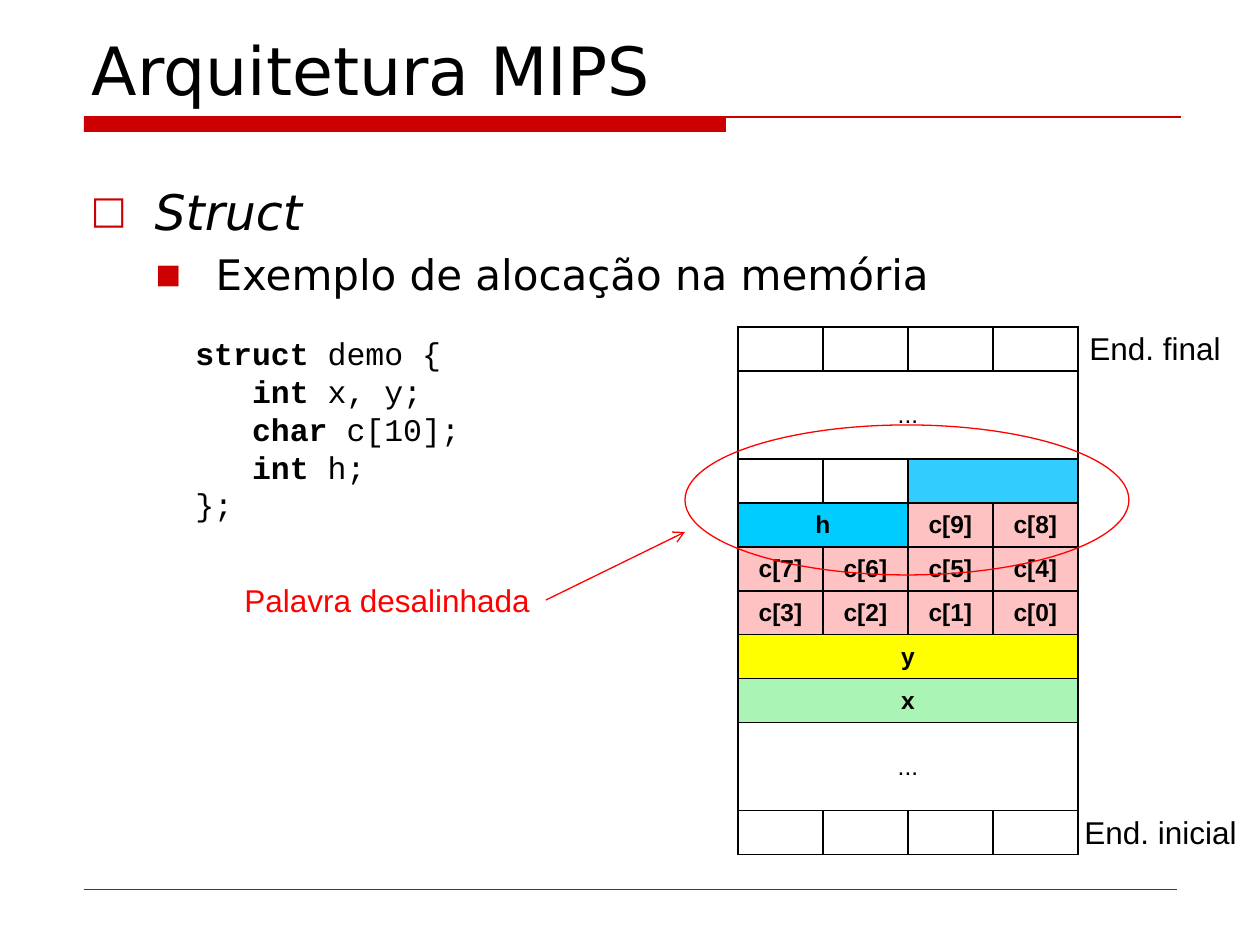
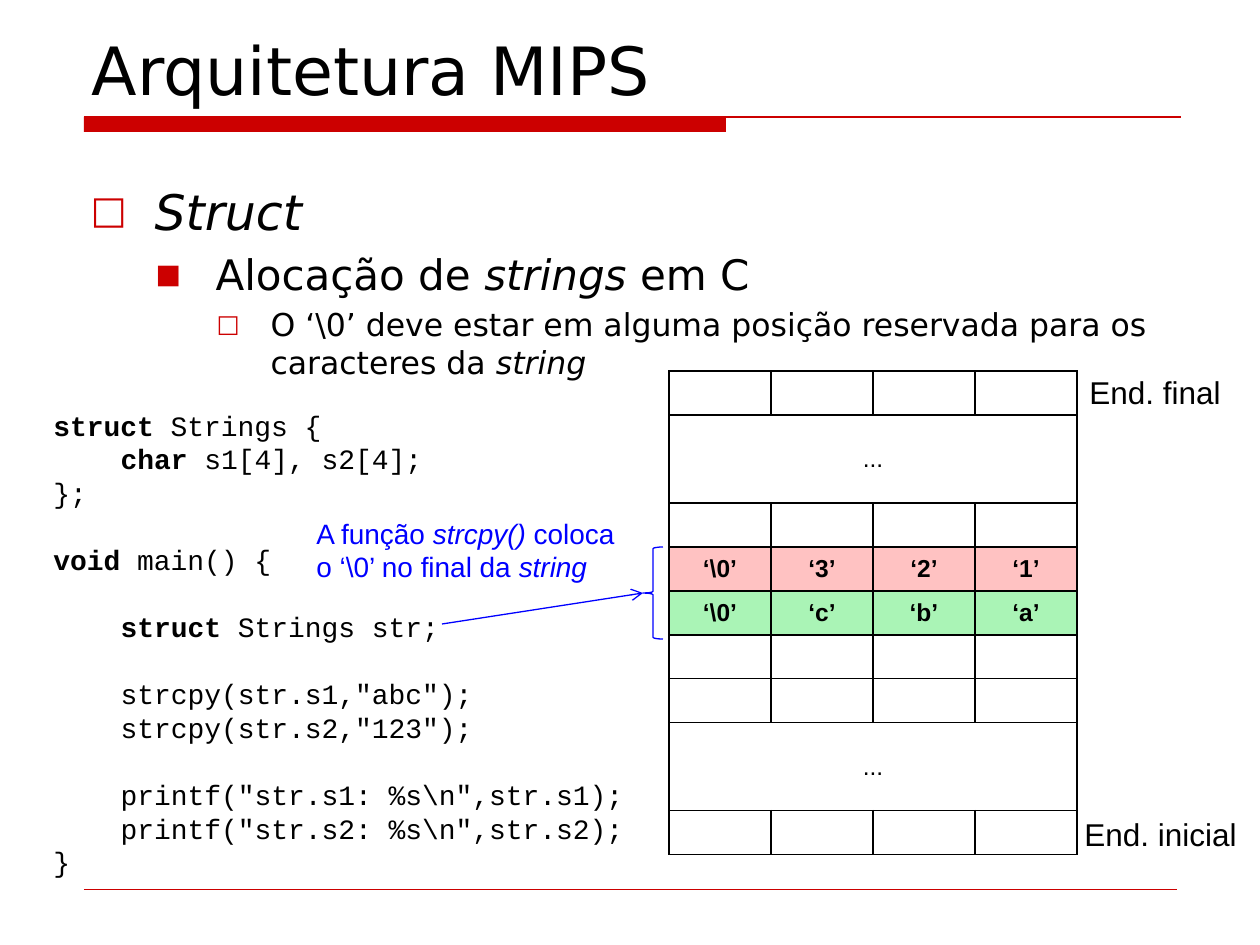
from lxml import etree
from pptx import Presentation
from pptx import util as u
from pptx.dml.color import RGBColor
from pptx.enum import shapes, text
from pptx.oxml.ns import qn

PX = 914400 / 126
TITLE_FONT, LABEL_FONT, CODE_FONT = "DejaVu Sans", "Arial", "Courier New"
BLACK, ACCENT, RED, BLUE = "000000", "CC0000", "FF0000", "0000FF"
WHITE, PINK, GREEN, YELLOW = "FFFFFF", "FFC2C2", "AAF4B6", "FFFF00"
H_LOW, H_HIGH = "00CCFF", "33CCFF"

# Per list level: size, left indent and hanging width in px, bullet, bullet size in %
LEVELS = [(28, 64, 64, "□", 78), (24, 125, 60, "■", 64), (18, 180, 54, "□", 78)]
ROW_HEIGHT = 44
EMPTY_ROW = [("", 1, None)] * 4
GAP_ROW = [("...", 4, None)]

STRUCT_CODE = """*struct* demo {
   *int* x, y;
   *char* c[10];
   *int* h;
};"""
STRINGS_CODE = r"""*struct* Strings {
    *char* s1[4], s2[4];
};

*void* main() {

    *struct* Strings str;

    strcpy(str.s1,"abc");
    strcpy(str.s2,"123");

    printf("str.s1: %s\n",str.s1);
    printf("str.s2: %s\n",str.s2);
}"""


def px(length):
    return u.Emu(round(length * PX))


def box(*lengths):
    return [px(length) for length in lengths]


def color(value):
    return RGBColor.from_string(value)


def sub(parent, tag, **attributes):
    return etree.SubElement(parent, qn(tag), attributes)


def add_runs(paragraph, marked, size, font, ink=BLACK, emphasis="italic"):
    """Write text whose parts between asterisks are emphasised."""
    for index, part in enumerate(marked.split("*")):
        if part:
            run = paragraph.add_run()
            run.text = part
            run.font.size, run.font.name = u.Pt(size), font
            run.font.color.rgb = color(ink)
            setattr(run.font, emphasis, index % 2 == 1)


def add_line(slide, start, end, ink, width, arrow=False):
    line = slide.shapes.add_connector(shapes.MSO_CONNECTOR.STRAIGHT, *box(*start, *end))
    line.line.color.rgb = color(ink)
    line.line.width = u.Pt(width)
    properties = line._element.spPr
    if arrow:
        sub(properties.find(qn("a:ln")), "a:tailEnd", type="arrow")
    sub(properties, "a:effectLst")
    return line


def add_shape(slide, kind, frame, fill=None, ink=None):
    shape = slide.shapes.add_shape(kind, *box(*frame))
    shape.shadow.inherit = False
    if fill:
        shape.fill.solid()
        shape.fill.fore_color.rgb = color(fill)
    else:
        shape.fill.background()
    if ink:
        shape.line.color.rgb = color(ink)
        shape.line.width = u.Pt(0.75)
    else:
        shape.line.fill.background()
    return shape


def add_label(slide, marked, frame, size=18, ink=BLACK, wrap=False):
    label = slide.shapes.add_textbox(*box(*frame))
    label.text_frame.word_wrap = wrap
    add_runs(label.text_frame.paragraphs[0], marked, size, LABEL_FONT, ink)
    return label


def add_code(slide, code, frame, size):
    """Leading spaces become an indent, empty lines become space before."""
    frame_text = slide.shapes.add_textbox(*box(*frame)).text_frame
    frame_text.word_wrap = True
    empty_lines = 0
    paragraph = frame_text.paragraphs[0]
    for number, line in enumerate(code.split("\n")):
        if not line:
            empty_lines += 1
            continue
        if number:
            paragraph = frame_text.add_paragraph()
        content = line.lstrip()
        indent = u.Pt(0.6 * size * (len(line) - len(content)))
        paragraph._p.get_or_add_pPr().set("marL", str(indent))
        paragraph.space_before = u.Pt(1.2 * size * empty_lines)
        add_runs(paragraph, content, size, CODE_FONT, emphasis="bold")
        empty_lines = 0


def add_bullets(body, items):
    for level, marked in enumerate(items):
        size, left, hanging, bullet, percent = LEVELS[level]
        paragraph = body.paragraphs[0] if level == 0 else body.add_paragraph()
        paragraph.level = level
        properties = paragraph._p.get_or_add_pPr()
        properties.set("marL", str(px(left)))
        properties.set("indent", str(-px(hanging)))
        sub(sub(properties, "a:buClr"), "a:srgbClr", val=ACCENT)
        sub(properties, "a:buSzPct", val=str(percent * 1000))
        sub(properties, "a:buFont", typeface=TITLE_FONT)
        sub(properties, "a:buChar", char=bullet)
        add_runs(paragraph, marked, size, TITLE_FONT)


def add_base_slide(presentation, items, body_height):
    slide = presentation.slides.add_slide(presentation.slide_layouts[1])
    # Title band and footer rule
    add_shape(slide, shapes.MSO_SHAPE.RECTANGLE, (84, 117, 642, 15), ACCENT)
    add_line(slide, (84, 117), (1181, 117), ACCENT, 0.75)
    add_line(slide, (84, 889), (1177, 889), ACCENT, 0.25)
    # Title and list
    title, body = slide.placeholders
    for holder, frame, anchor in (
        (title, (79, 42, 1102, 73), text.MSO_ANCHOR.BOTTOM),
        (body, (78, 175, 1166, body_height), text.MSO_ANCHOR.TOP),
    ):
        holder.left, holder.top, holder.width, holder.height = box(*frame)
        holder.text_frame.auto_size = text.MSO_AUTO_SIZE.NONE
        holder.text_frame.vertical_anchor = anchor
    heading = title.text_frame.paragraphs[0]
    heading.alignment = text.PP_ALIGN.LEFT
    add_runs(heading, "Arquitetura MIPS", 38, TITLE_FONT)
    add_bullets(body.text_frame, items)
    return slide


def format_cell(cell, fill):
    cell.margin_top = cell.margin_bottom = 0
    cell.vertical_anchor = text.MSO_ANCHOR.MIDDLE
    if fill:
        cell.fill.solid()
        cell.fill.fore_color.rgb = color(fill)
    else:
        cell.fill.background()
    properties = cell._tc.get_or_add_tcPr()
    for position, side in enumerate(("a:lnL", "a:lnR", "a:lnT", "a:lnB")):
        border = etree.Element(qn(side), w=str(u.Pt(1)))
        sub(sub(border, "a:solidFill"), "a:srgbClr", val=BLACK)
        properties.insert(position, border)


def add_memory(slide, left, top, column_width, rows):
    """Rows hold (text, column span, fill); gap rows are twice as high."""
    heights = [ROW_HEIGHT * (2 if row is GAP_ROW else 1) for row in rows]
    frame = (left, top, 4 * column_width, sum(heights))
    table = slide.shapes.add_table(len(rows), 4, *box(*frame)).table
    table.first_row = table.horz_banding = False
    for column in table.columns:
        column.width = px(column_width)
    for row_index, (row, height) in enumerate(zip(rows, heights)):
        table.rows[row_index].height = px(height)
        start = 0
        for content, span, fill in row:
            for column_index in range(start, start + span):
                format_cell(table.cell(row_index, column_index), fill)
            cell = table.cell(row_index, start)
            if span > 1:
                cell.merge(table.cell(row_index, start + span - 1))
            if content:
                paragraph = cell.text_frame.paragraphs[0]
                paragraph.alignment = text.PP_ALIGN.CENTER
                add_runs(paragraph, content, 14, LABEL_FONT)
                paragraph.runs[0].font.bold = row is not GAP_ROW
            start += span


def add_address_labels(slide, final_top, initial_top):
    add_label(slide, "End. inicial", (1072, initial_top, 179, 50))
    add_label(slide, "End. final", (1077, final_top, 158, 50))


def cells(names, fill):
    return [(name, 1, fill) for name in names]


def build_struct_slide(presentation):
    slide = add_base_slide(
        presentation, ["*Struct*", "Exemplo de alocação na memória"], 171)
    add_code(slide, STRUCT_CODE, (183, 328, 365, 204), 18)
    c = [f"c[{index}]" for index in range(9, -1, -1)]
    add_memory(slide, 738, 327, 85, [
        EMPTY_ROW,
        GAP_ROW,
        cells(["", ""], WHITE) + [("", 2, H_HIGH)],
        [("h", 2, H_LOW)] + cells(c[:2], PINK),
        cells(c[2:6], PINK),
        cells(c[6:], PINK),
        [("y", 4, YELLOW)],
        [("x", 4, GREEN)],
        GAP_ROW,
        EMPTY_ROW,
    ])
    add_address_labels(slide, 323, 807)
    # Misaligned word
    add_shape(slide, shapes.MSO_SHAPE.OVAL, (685, 425, 444, 150), ink=RED)
    label = add_label(slide, "Palavra desalinhada", (232, 575, 314, 50), ink=RED)
    arrow = add_line(slide, (546, 600), (685, 532), RED, 0.75, arrow=True)
    arrow.begin_connect(label, 3)


def build_strings_slide(presentation):
    slide = add_base_slide(presentation, [
        "*Struct*",
        "Alocação de *strings* em C",
        r"O ‘\0’ deve estar em alguma posição reservada para os caracteres da *string*",
    ], 207)
    add_code(slide, STRINGS_CODE, (41, 402, 622, 488), 16)
    add_memory(slide, 669, 371, 102, [
        EMPTY_ROW,
        GAP_ROW,
        EMPTY_ROW,
        cells([r"‘\0’", "‘3’", "‘2’", "‘1’"], PINK),
        cells([r"‘\0’", "‘c’", "‘b’", "‘a’"], GREEN),
        EMPTY_ROW,
        EMPTY_ROW,
        GAP_ROW,
        EMPTY_ROW,
    ])
    add_address_labels(slide, 367, 809)
    # Note on the terminator
    brace = add_shape(slide, shapes.MSO_SHAPE.LEFT_BRACE, (643, 547, 20, 92), WHITE, BLUE)
    arrow = add_line(slide, (442, 624), (643, 593), BLUE, 0.75, arrow=True)
    arrow.end_connect(brace, 1)
    add_label(slide, r"A função *strcpy()* coloca o ‘\0’ no final da *string*",
              (304, 510, 334, 81), 16, BLUE, wrap=True)


def main():
    presentation = Presentation()
    presentation.slide_width, presentation.slide_height = box(1260, 945)
    build_struct_slide(presentation)
    build_strings_slide(presentation)
    presentation.save("out.pptx")


if __name__ == "__main__":
    main()
